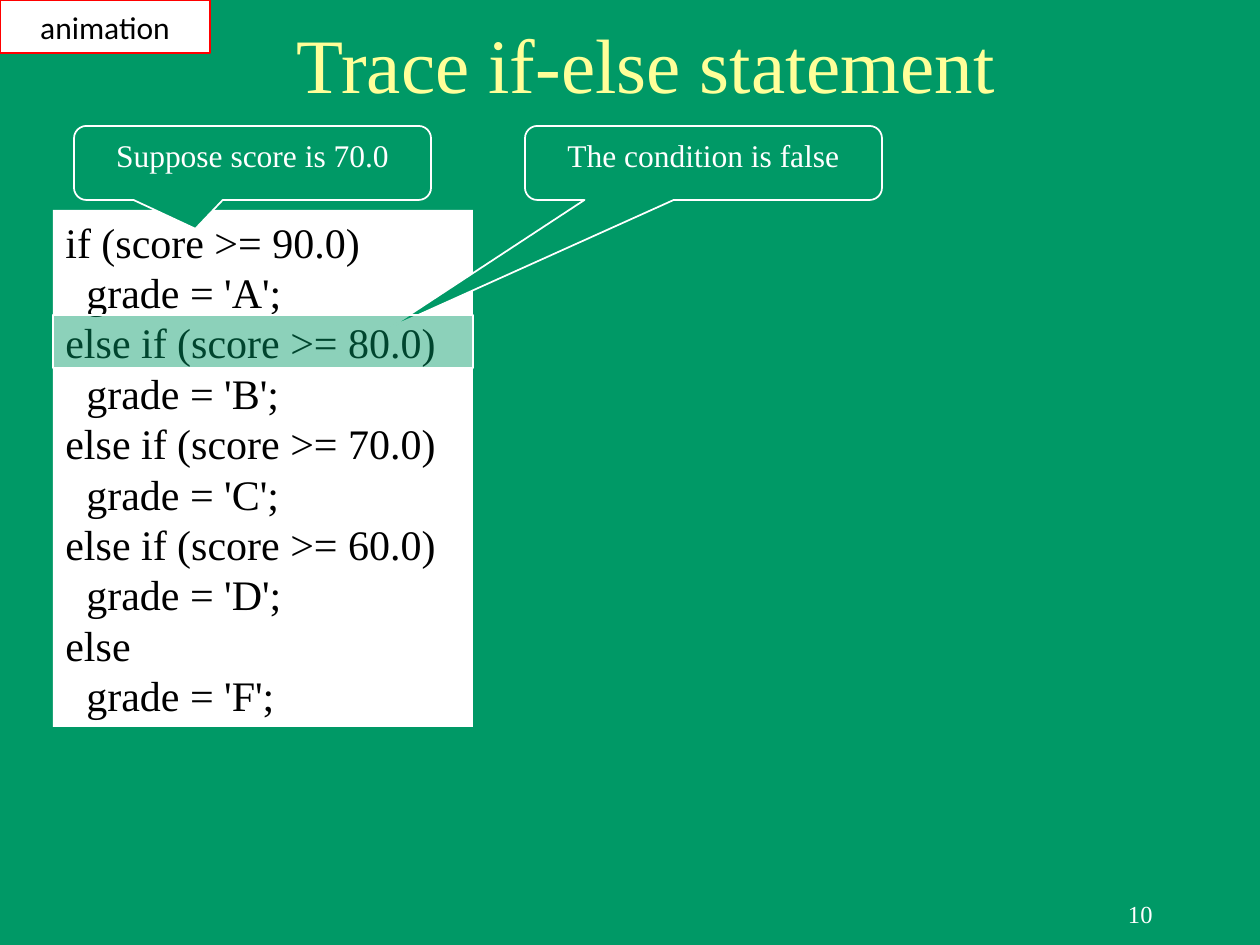
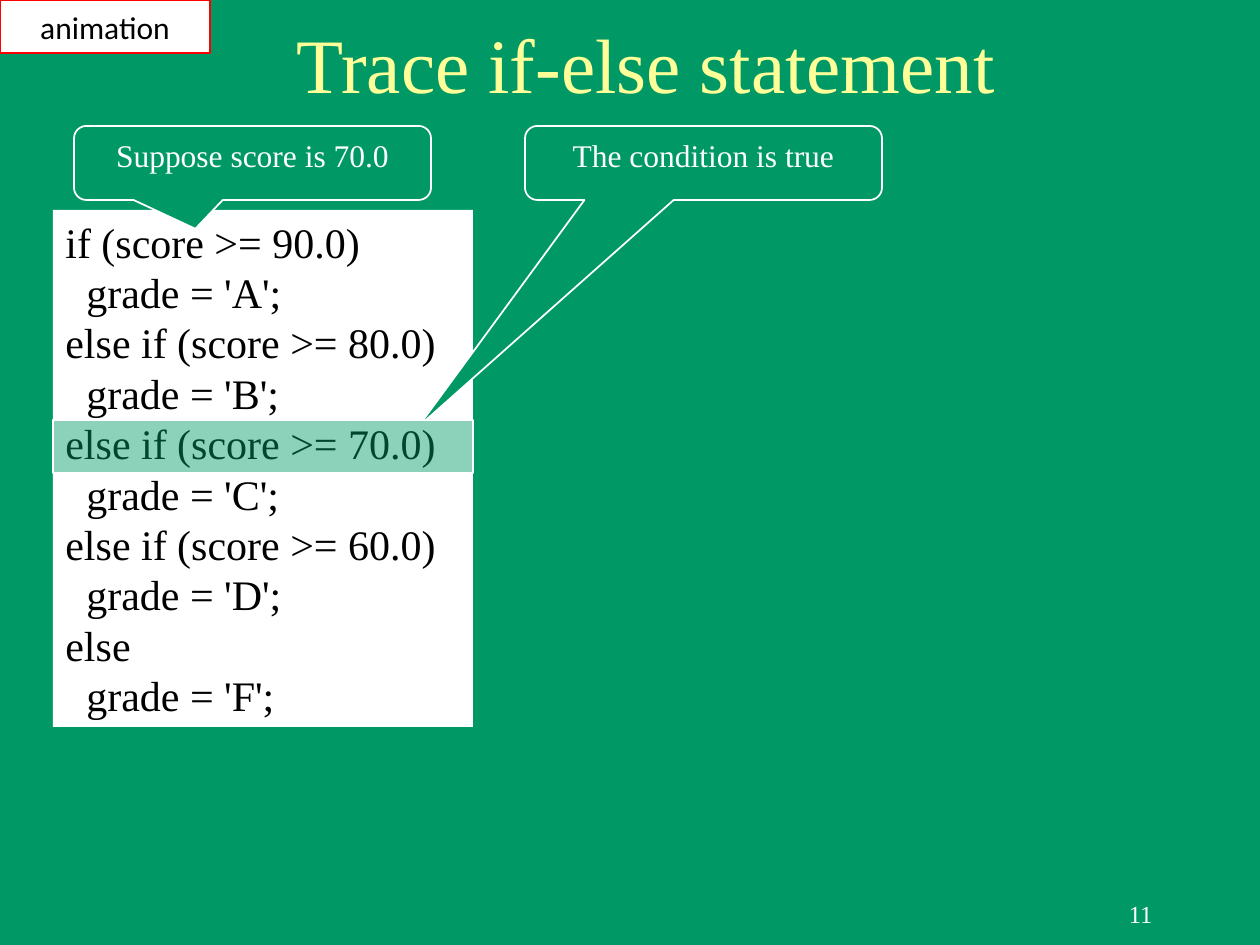
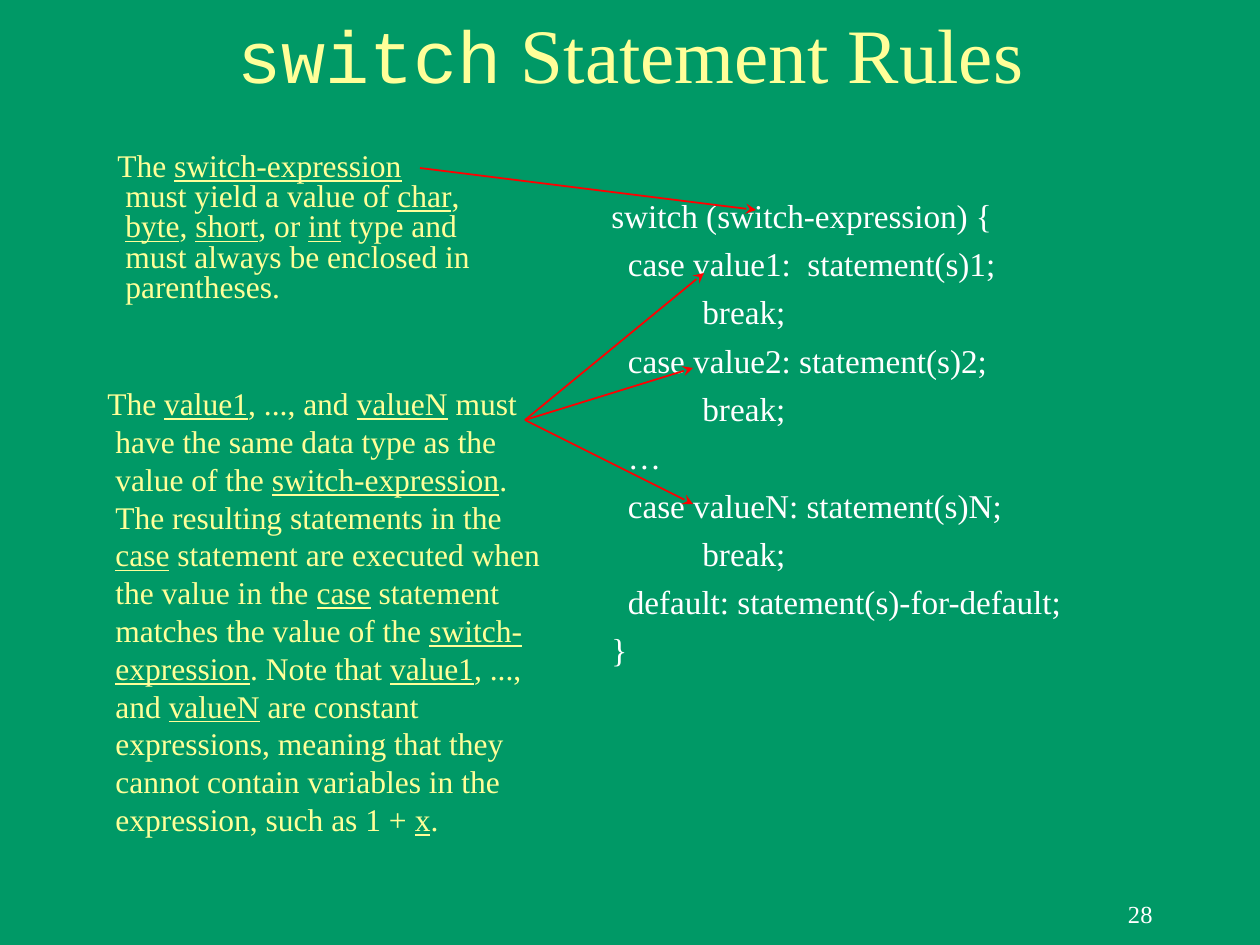
"""Build three slides on tracing if-else and on switch statement rules."""
from lxml import etree
from pptx import Presentation, util as u
from pptx.dml.color import RGBColor
from pptx.enum import shapes, text
from pptx.oxml.ns import qn

GREEN, YELLOW, WHITE, BLACK, RED = "009966", "FFFF99", "FFFFFF", "000000", "FF0000"
SERIF = "Times New Roman"
LEFT, CENTER, RIGHT = text.PP_ALIGN.LEFT, text.PP_ALIGN.CENTER, text.PP_ALIGN.RIGHT
TOP, MIDDLE = text.MSO_ANCHOR.TOP, text.MSO_ANCHOR.MIDDLE
RECT = shapes.MSO_SHAPE.RECTANGLE
CALLOUT = shapes.MSO_SHAPE.ROUNDED_RECTANGULAR_CALLOUT

GRADES = """if (score >= 90.0)
  grade = 'A';
else if (score >= 80.0)
  grade = 'B';
else if (score >= 70.0)
  grade = 'C';
else if (score >= 60.0)
  grade = 'D';
else
  grade = 'F';"""

SWITCH = """switch (switch-expression) {
  case value1:  statement(s)1;
           break;
  case value2: statement(s)2;
           break;
  …
  case valueN: statement(s)N;
           break;
  default: statement(s)-for-default;
}"""

EXPRESSION_RULE = ("The _switch-expression_ must yield a value of _char_, _byte_, _short_, or _int_ "
                   "type and must always be enclosed in parentheses.")
VALUE_RULE = ("The _value1_, ..., and _valueN_ must have the same data type as the value of the "
              "_switch-expression_. The resulting statements in the _case_ statement are executed "
              "when the value in the _case_ statement matches the value of the _switch-expression_. "
              "Note that _value1_, ..., and _valueN_ are constant expressions, meaning that they "
              "cannot contain variables in the expression, such as 1 + _x_.")


def px(*lengths):
    return [u.Emu(round(n * 914400 / 126)) for n in lengths]


def write(sp, content, size, color, align=LEFT, anchor=TOP, font=SERIF, gap=0):
    """Fill a shape line by line, underlining the words between underscores."""
    tf = sp.text_frame
    tf.word_wrap, tf.auto_size, tf.vertical_anchor = True, text.MSO_AUTO_SIZE.NONE, anchor
    for n, line in enumerate(content.split("\n")):
        p = tf.add_paragraph() if n else tf.paragraphs[0]
        p.alignment = align
        p.space_before = u.Pt(gap if n else 0)
        for i, part in enumerate(line.split("_")):
            if part:
                r = p.add_run()
                r.text = part
                r.font.size, r.font.name = u.Pt(size), font
                r.font.color.rgb = RGBColor.from_string(color)
                if i % 2:
                    r.font.underline = True
    return tf


prs = Presentation()
prs.slide_width, prs.slide_height = px(1260, 945)
fill = prs.slide_master.background.fill
fill.solid()
fill.fore_color.rgb = RGBColor.from_string(GREEN)

slides = []
for title, number, width, height in [("Trace if-else statement", "10", 1103, 126),
                                     ("Trace if-else statement", "11", 1103, 126),
                                     ("switch Statement Rules", "28", 1071, 105)]:
    s = prs.slides.add_slide(prs.slide_layouts[5])
    slides.append(s)
    sp = s.shapes.title
    sp.left, sp.top, sp.width, sp.height = px(95, 0, width, height)
    if title.startswith("switch"):
        tf = write(sp, "switch", 42, YELLOW, CENTER, MIDDLE, "Courier New")
        r = tf.paragraphs[0].add_run()
        r.text = title.removeprefix("switch")
        r.font.size, r.font.name = u.Pt(44), SERIF
        r.font.color.rgb = RGBColor.from_string(YELLOW)
    else:
        write(sp, title, 44, YELLOW, CENTER, MIDDLE)
    sp = s.shapes.add_textbox(*px(903, 882, 262, 63))
    write(sp, number, 14, WHITE, RIGHT, MIDDLE)

for s, verdict, tip, highlight_top in [(slides[0], "false", (-0.88, 2.23), 315),
                                       (slides[1], "true", (-0.8, 3.57), 420)]:
    for kind, box, fill, line, content, style, tail in [
            (RECT, (53, 210, 420, 517), GREEN, None, GRADES, (24, BLACK), None),
            (CALLOUT, (74, 126, 357, 74), GREEN, WHITE, "Suppose score is 70.0",
             (18, WHITE, CENTER), (-0.16, 0.89)),
            (CALLOUT, (525, 126, 357, 74), GREEN, WHITE, f"The condition is {verdict}",
             (18, WHITE, CENTER), tip),
            (RECT, (53, highlight_top, 420, 53), GREEN, WHITE, None, None, None),
            (RECT, (0, 0, 210, 53), WHITE, RED, "animation",
             (18, BLACK, CENTER, MIDDLE, "Calibri"), None)]:
        sp = s.shapes.add_shape(kind, *px(*box))
        sp.shadow.inherit = False
        sp.fill.solid()
        sp.fill.fore_color.rgb = RGBColor.from_string(WHITE if content == GRADES else fill)
        if line:
            sp.line.color.rgb = RGBColor.from_string(line)
            sp.line.width = u.Pt(1)
        else:
            sp.line.fill.background()
        if tail:
            sp.adjustments[0], sp.adjustments[1] = tail
        if content:
            write(sp, content, *style)
        else:
            color = sp.element.spPr.find(qn("a:solidFill"))[0]
            etree.SubElement(color, qn("a:alpha"), val="45000")

s = slides[2]
sp = s.shapes.add_textbox(*px(599, 189, 504, 525))
write(sp, SWITCH, 19, WHITE, gap=4.8)

for box, rule, spacing, start, ends in [
        ((105, 147, 378, 179), EXPRESSION_RULE, 0.8, (420, 168), [(756, 210)]),
        ((95, 378, 472, 472), VALUE_RULE, 1.0, (525, 420), [(704, 273), (693, 368), (693, 504)])]:
    group = s.shapes.add_group_shape()
    sp = group.shapes.add_textbox(*px(*box))
    p = write(sp, rule, 18, YELLOW).paragraphs[0]
    p.line_spacing = spacing
    hang = px(8)[0]
    pPr = p._p.get_or_add_pPr()
    pPr.set("marL", str(hang))
    pPr.set("indent", str(-hang))
    for end in ends:
        c = group.shapes.add_connector(shapes.MSO_CONNECTOR.STRAIGHT, *px(*start, *end))
        c.line.color.rgb = RGBColor.from_string(RED)
        c.line.width = u.Pt(1)
        spPr = c.element.spPr
        etree.SubElement(spPr.find(qn("a:ln")), qn("a:tailEnd"), type="stealth")
        etree.SubElement(spPr, qn("a:effectLst"))

prs.save("out.pptx")
